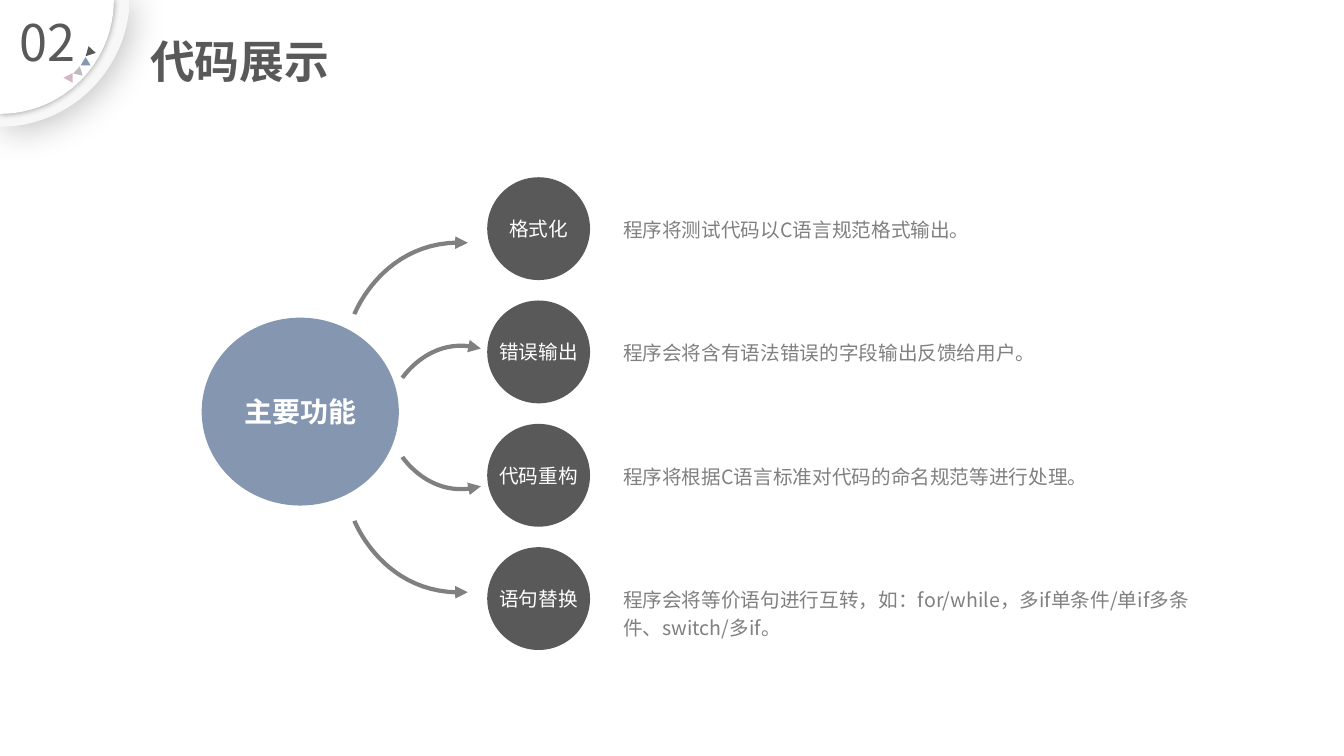
from lxml.etree import SubElement
from pptx import Presentation
from pptx.dml.color import RGBColor
from pptx.enum.shapes import MSO_SHAPE
from pptx.enum.text import MSO_ANCHOR, PP_ALIGN
from pptx.oxml.ns import qn
from pptx.util import Inches, Pt

# The slide is a grid of 160 columns by 90 rows of square cells.
COLS, ROWS = 160, 90
CELL = Inches(1) / 12

FONT = "Noto Sans CJK SC"
WHITE = RGBColor(0xFF, 0xFF, 0xFF)
PALE = RGBColor(0xF7, 0xF7, 0xF7)
DARK = RGBColor(0x59, 0x59, 0x59)
GREY = RGBColor(0x80, 0x80, 0x80)
SILVER = RGBColor(0xBC, 0xBC, 0xBC)
BLUE = RGBColor(0x84, 0x96, 0xB0)
PINK = RGBColor(0xD7, 0xB5, 0xC6)

AXIS = 49.7
DISC = 12.24
TOP, STEP = 21.1, 14.68

# Label, caption, rows the caption takes
ITEMS = [
    ("格式化", "程序将测试代码以C语言规范格式输出。", 7),
    ("错误输出", "程序会将含有语法错误的字段输出反馈给用户。", 7.7),
    ("代码重构", "程序将根据C语言标准对代码的命名规范等进行处理。", 8.5),
    ("语句替换", "程序会将等价语句进行互转，如：for/while，"
     "多if单条件/单if多条件、switch/多if。", 8.6),
]

# Tip, two control points, tail; the lower arrows mirror these
ARROWS = [
    [(55.7, 28.9), (45.7, 28.3), (42.2, 37.4), (42.2, 37.4)],
    [(57.25, 41.5), (51.3, 39.8), (47.9, 45), (47.9, 45)],
]

CHIPS = [
    (DARK, [(11.4, 6.3), (10.2, 6.7), (10.55, 5.5)]),
    (BLUE, [(10.8, 7.8), (9.6, 7.8), (10.2, 6.8)]),
    (SILVER, [(9.85, 9), (8.7, 8.75), (9.5, 7.9)]),
    (PINK, [(8.65, 9.85), (7.55, 9.25), (8.65, 8.7)]),
]


def cells(*counts):
    return [round(n * CELL) for n in counts]


def curve(a, b, c, d, parts=24):
    """Return points along a cubic Bezier curve."""
    def at(t):
        u = 1 - t
        return tuple(u**3 * p + 3 * u * u * t * q + 3 * u * t * t * r + t**3 * s
                     for p, q, r, s in zip(a, b, c, d))
    return [at(i / parts) for i in range(parts + 1)]


def write(shape, text, size=14, color=WHITE, bold=False, align=PP_ALIGN.LEFT,
          anchor=MSO_ANCHOR.TOP, wrap=True, space=1.0):
    frame = shape.text_frame
    frame.word_wrap = wrap
    frame.vertical_anchor = anchor
    para = frame.paragraphs[0]
    para.alignment = align
    para.line_spacing = space
    run = para.add_run()
    run.text = text
    font = run.font
    font.size, font.bold, font.name = Pt(size), bold, FONT
    font.color.rgb = color
    SubElement(font._element, qn("a:ea"), typeface=FONT)


def label(slide, box, text, **style):
    write(slide.shapes.add_textbox(*cells(*box)), text, **style)


def disc(slide, box, fill, text, **style):
    shape = slide.shapes.add_shape(MSO_SHAPE.OVAL, *cells(*box))
    shape.shadow.inherit = False
    shape.fill.solid()
    shape.fill.fore_color.rgb = fill
    shape.line.fill.background()
    write(shape, text, align=PP_ALIGN.CENTER, anchor=MSO_ANCHOR.MIDDLE, **style)
    return shape


def trace(slide, points, close):
    start, *rest = [cells(*point) for point in points]
    pen = slide.shapes.build_freeform(*start)
    pen.add_line_segments(rest, close=close)
    shape = pen.convert_to_shape()
    shape.shadow.inherit = False
    return shape


def patch(slide, points, fill):
    """Draw a closed, filled outline without a border."""
    shape = trace(slide, points, True)
    shape.fill.solid()
    shape.fill.fore_color.rgb = fill
    shape.line.fill.background()
    return shape


def shade(shape, alpha, blur, dist, angle):
    effects = shape._element.spPr.find(qn("a:effectLst"))
    outer = SubElement(effects, qn("a:outerShdw"), blurRad=str(Pt(blur)),
                       dist=str(Pt(dist)), dir=str(angle * 60000),
                       algn="ctr", rotWithShape="0")
    black = SubElement(outer, qn("a:srgbClr"), val="000000")
    SubElement(black, qn("a:alpha"), val=str(alpha * 1000))


def arrow(slide, points):
    shape = trace(slide, curve(*points), False)
    shape.fill.background()
    shape.line.color.rgb = GREY
    shape.line.width = Pt(3)
    line = shape._element.spPr.find(qn("a:ln"))
    SubElement(line, qn("a:headEnd"), type="triangle")


def corner(slide):
    rim = curve((15.36, 1.3), (14.5, 9.1), (7.9, 15.1), (0, 15.1))
    shade(patch(slide, [(0, 0), (15.36, 0), *rim], PALE), 25, 26, 3, 45)
    face = curve((13.56, 0), (13.56, 7.5), (7.5, 13.56), (0, 13.56))
    shade(patch(slide, [(0, 0), *face], WHITE), 40, 5, 0, 0)
    for color, points in CHIPS:
        patch(slide, points, color)
    label(slide, (0.5, 0.7, 10.4, 8.5), "02", size=36, color=DARK,
          align=PP_ALIGN.CENTER)


def main():
    deck = Presentation()
    deck.slide_width, deck.slide_height = cells(COLS, ROWS)
    slide = deck.slides.add_slide(deck.slide_layouts[6])

    corner(slide)
    label(slide, (16.7, 4.9, 74.2, 6.2), "代码展示", size=32, color=DARK,
          bold=True, anchor=MSO_ANCHOR.BOTTOM, space=0.9)

    hub = disc(slide, (24.1, 37.9, 23.3, 22.2), BLUE, "主要功能",
               size=20, bold=True)
    hub.line.color.rgb = BLUE
    hub.line.width = Pt(1)
    for points in ARROWS:
        arrow(slide, points)
        arrow(slide, [(x, 2 * AXIS - y) for x, y in points])

    for i, (name, caption, rows) in enumerate(ITEMS):
        top = TOP + i * STEP
        disc(slide, (58, top, DISC, DISC), DARK, name, wrap=False)
        label(slide, (73, top + 3.7, 70.2, rows), caption, color=GREY, space=1.2)

    deck.save("out.pptx")


if __name__ == "__main__":
    main()
